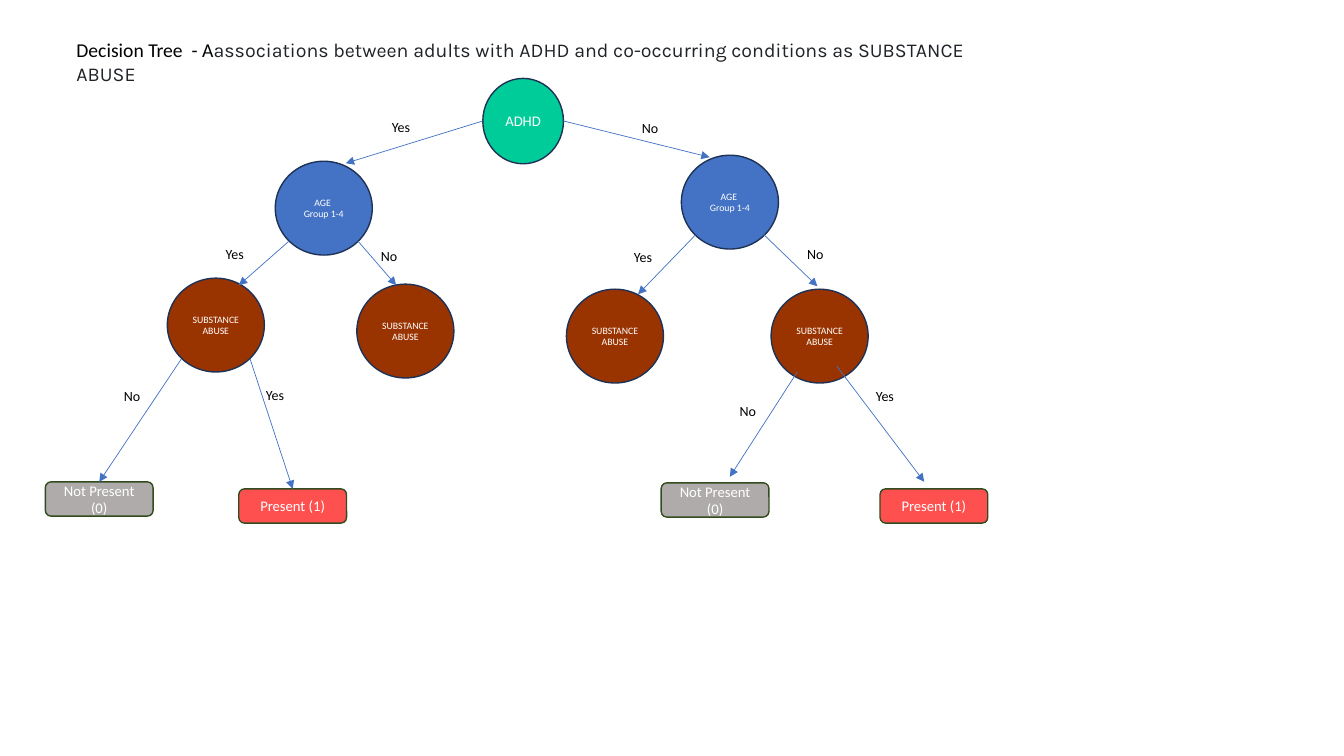
"""Build a decision tree slide on ADHD and substance abuse."""
from lxml import etree
from pptx import Presentation
from pptx.dml.color import RGBColor
from pptx.enum.shapes import MSO_CONNECTOR, MSO_SHAPE
from pptx.enum.text import MSO_ANCHOR, MSO_AUTO_SIZE, PP_ALIGN
from pptx.oxml.ns import qn
from pptx.util import Pt

OVAL = MSO_SHAPE.OVAL
ROUND = MSO_SHAPE.ROUNDED_RECTANGLE
STRAIGHT = MSO_CONNECTOR.STRAIGHT
MIDDLE = MSO_ANCHOR.MIDDLE
CENTER = PP_ALIGN.CENTER
GROW = MSO_AUTO_SIZE.SHAPE_TO_FIT_TEXT

GREEN = RGBColor(0x00, 0xCC, 0x99)
BLUE = RGBColor(0x44, 0x72, 0xC4)
BROWN = RGBColor(0x99, 0x33, 0x00)
GRAY = RGBColor(0xAF, 0xAB, 0xAB)
RED = RGBColor(0xFF, 0x50, 0x50)
NAVY = RGBColor(0x1E, 0x32, 0x56)
MOSS = RGBColor(0x31, 0x4C, 0x1F)
INK = RGBColor(0x1F, 0x23, 0x28)
BLACK = RGBColor(0x00, 0x00, 0x00)
WHITE = RGBColor(0xFF, 0xFF, 0xFF)

AGE = "AGE \nGroup 1-4"
ABUSE = "SUBSTANCE ABUSE"
ABSENT = "Not Present (0)"
FOUND = "Present (1)"

NODES = [
    (AGE, 196.6, 115.2, BLUE),
    (AGE, 486.7, 110.9, BLUE),
    (ABUSE, 119.5, 198.7, BROWN),
    (ABUSE, 254.9, 203, BROWN),
    (ABUSE, 404.6, 206.6, BROWN),
    (ABUSE, 550.8, 206.6, BROWN),
]
LEAVES = [
    (ABSENT, 32.4, 344.2, GRAY),
    (FOUND, 170.6, 349.2, RED),
    (ABSENT, 472.3, 344.9, GRAY),
    (FOUND, 628.6, 349.2, RED),
]
ARROWS = [
    (344.9, 86.4, 247, 116.6, None),
    (402.5, 86.4, 506.9, 112.3, None),
    (206.6, 172.1, 170.6, 203.8, None),
    (255.6, 172.1, 283, 203.8, None),
    (496.8, 167.8, 455.8, 210.2, None),
    (545.8, 167.8, 583.9, 204.5, None),
    (129.6, 256.3, 70.9, 344.2, 0),
    (178.6, 256.3, 209.1, 349.2, 1),
    (569.5, 265.7, 521.3, 340.6, None),
    (597.6, 261.4, 660.2, 344.2, None),
]
LABELS = {
    "Yes": [(272.9, 81.4), (154.1, 172.1), (182.9, 272.2),
            (445.7, 174.2), (618.5, 273.6)],
    "No": [(451.4, 82.1), (265, 173.5), (81.4, 273.6),
           (569.5, 172.1), (521.3, 283.7)],
}


def style(run, size, color, face="Calibri"):
    """Set the font of a run."""
    run.font.name = face
    run.font.size = Pt(size)
    run.font.color.rgb = color


def add_node(slide, kind, text, box, fill, edge, size):
    """Add a filled shape with centred white text."""
    node = slide.shapes.add_shape(kind, *map(Pt, box))
    node.shadow.inherit = False
    node.fill.solid()
    node.fill.fore_color.rgb = fill
    node.line.color.rgb = edge
    node.line.width = Pt(1)
    frame = node.text_frame
    frame.word_wrap = True
    frame.vertical_anchor = MIDDLE
    frame.text = text
    for para in frame.paragraphs:
        para.alignment = CENTER
        for run in para.runs:
            style(run, size, WHITE)
    return node


def add_arrow(slide, ends, leaf):
    """Add an arrow, joined to the top of a leaf if one is given."""
    arrow = slide.shapes.add_connector(STRAIGHT, *map(Pt, ends))
    if leaf is not None:
        arrow.end_connect(leaf, 0)
    arrow.line.color.rgb = BLUE
    arrow.line.width = Pt(0.5)
    etree.SubElement(arrow.line._get_or_add_ln(), qn("a:tailEnd"), type="triangle")
    etree.SubElement(arrow._element.spPr, qn("a:effectLst"))


def add_label(slide, text, left, top):
    """Add a branch label."""
    width = 28 if text == "Yes" else 26.6
    frame = slide.shapes.add_textbox(Pt(left), Pt(top), Pt(width), Pt(19.4)).text_frame
    frame.word_wrap = False
    frame.auto_size = GROW
    frame.text = text
    style(frame.paragraphs[0].runs[0], 10, BLACK)


def add_title(slide):
    """Add the title in its two fonts."""
    frame = slide.shapes.add_textbox(Pt(47.5), Pt(23.8), Pt(684), Pt(24.5)).text_frame
    frame.word_wrap = True
    frame.text = "Decision Tree  - A"
    para = frame.paragraphs[0]
    style(para.runs[0], 14, BLACK)
    rest = para.add_run()
    rest.text = ("associations between adults with ADHD and "
                 "co-occurring conditions as SUBSTANCE ABUSE")
    style(rest, 14, INK, "Karla")


def main():
    """Build and save the slide."""
    deck = Presentation()
    deck.slide_width = Pt(960)
    deck.slide_height = Pt(540)
    slide = deck.slides.add_slide(deck.slide_layouts[6])
    add_title(slide)
    add_node(slide, OVAL, "ADHD", (344.9, 56, 57.6, 61), GREEN, NAVY, 10.5)
    for text, left, top, fill in NODES:
        add_node(slide, OVAL, text, (left, top, 69.3, 67), fill, NAVY, 7)
    leaves = [
        add_node(slide, ROUND, text, (left, top, 77, 24.5), fill, MOSS, 10.5)
        for text, left, top, fill in LEAVES
    ]
    for *ends, leaf in ARROWS:
        add_arrow(slide, ends, None if leaf is None else leaves[leaf])
    for text, spots in LABELS.items():
        for left, top in spots:
            add_label(slide, text, left, top)
    deck.save("out.pptx")


if __name__ == "__main__":
    main()
